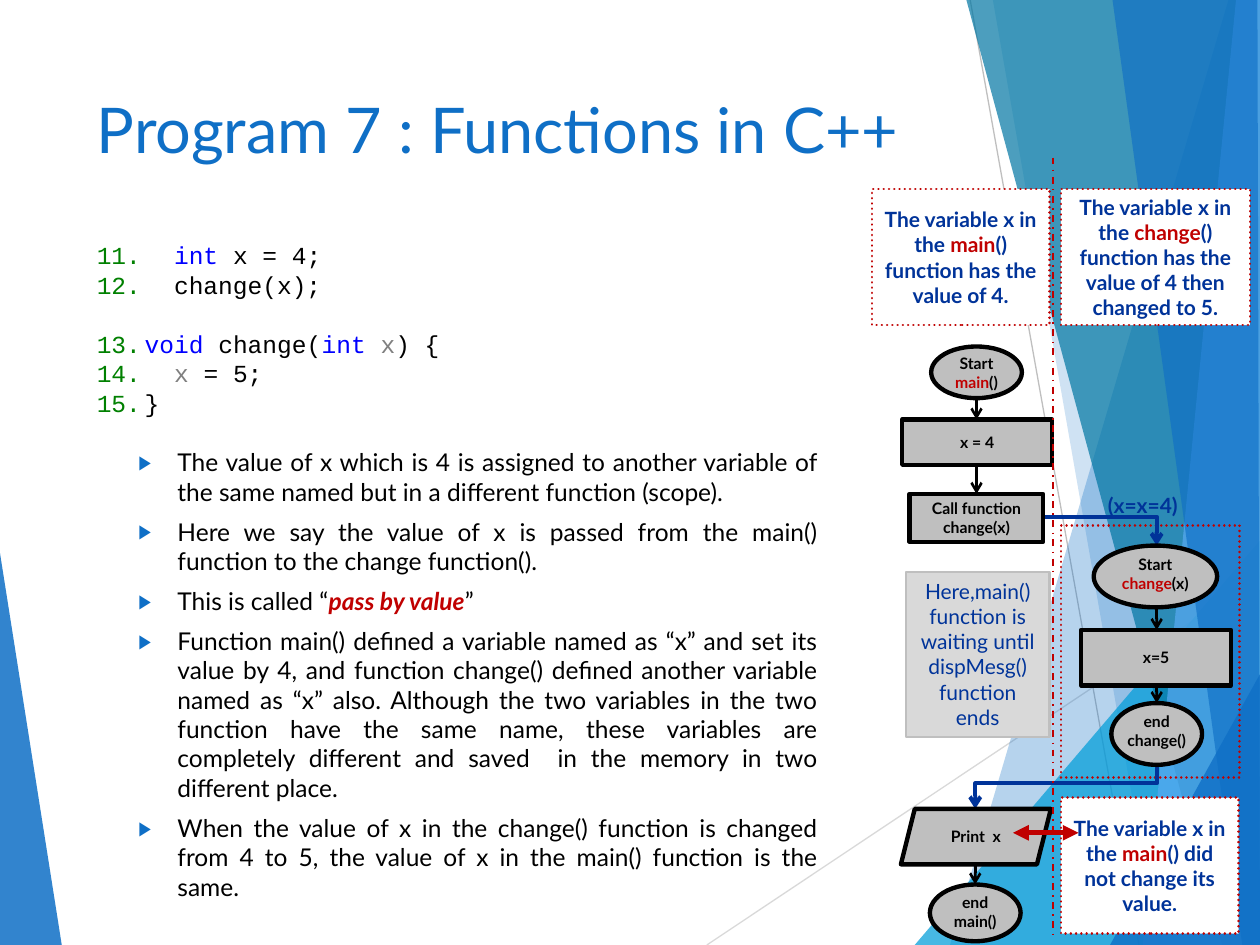
from typing import NamedTuple

from lxml.etree import SubElement
from pptx import Presentation
from pptx.dml.color import RGBColor
from pptx.enum.dml import MSO_LINE
from pptx.enum.shapes import MSO_CONNECTOR, MSO_SHAPE
from pptx.enum.text import MSO_ANCHOR, MSO_AUTO_SIZE, PP_ALIGN
from pptx.oxml.ns import qn
from pptx.util import Inches, Pt

BLACK, BLUE, NAVY, RED = "000000", "0F6FC6", "003399", "C00000"
KEYWORD, FADED, GREEN = "0000FF", "808080", "008000"
SILVER, PALE, WHITE = "BFBFBF", "D9D9D9", "FFFFFF"
MAIN_X, CHANGE_X = 7.75, 9.18


class Run(NamedTuple):
    text: str
    color: str = BLACK
    bold: bool = False
    italic: bool = False


class Facet(NamedTuple):
    points: list
    color: str
    alpha: int


class Node(NamedTuple):
    kind: MSO_SHAPE
    box: tuple
    lines: list


class Note(NamedTuple):
    box: tuple
    function: str
    ending: str


class Line(NamedTuple):
    start: tuple
    end: tuple
    color: str = BLACK
    width: float = 1.5
    head: str = ""
    tail: str = "arrow"
    dash: MSO_LINE | None = None
    preset: str = "line"
    turn: int = 0
    bend: int = 0


class Bullet(NamedTuple):
    indent: float
    hang: float
    color: str
    font: str
    size: int
    symbol: str = ""
    start: int = 0


FACETS = [
    Facet([(9.75, 0), (7.54, 7.5), (10, 7.5), (10, 0)], BLUE, 30),
    Facet([(7.88, 0), (9.19, 7.5), (10, 7.5), (10, 0)], BLUE, 20),
    Facet([(7.26, 7.5), (10, 4.29), (10, 7.5)], "009DD9", 72),
    Facet([(7.67, 0), (9.7, 7.5), (10, 7.5), (10, 0)], "0076A3", 70),
    Facet([(9.81, 0), (9.07, 7.5), (10, 7.5), (10, 0)], "59AAF2", 70),
    Facet([(8.83, 0), (9.86, 7.5), (10, 7.5), (9.98, 0)], BLUE, 65),
    Facet([(8.81, 7.5), (10, 5.35), (10, 7.5)], BLUE, 80),
]
LEFT_FACET = Facet([(0, 4.39), (0.49, 7.5), (0, 7.5)], BLUE, 85)
RAYS = [
    Line((5.61, 7.5), (10, 4.57), PALE, 0.75, tail=""),
    Line((7.7, 0), (9.04, 7.5), SILVER, 0.75, tail=""),
]
CODE = [
    (11, [Run("  int", KEYWORD), Run(" x = 4;")]),
    (11, [Run("  change(x);")]),
    (13, [Run("void", KEYWORD), Run(" change("), Run("int ", KEYWORD), Run("x", FADED), Run(") {")]),
    (13, [Run("  x", FADED), Run(" = 5;")]),
    (13, [Run("}")]),
]
EXPLANATION = [
    [Run("The value of x which is 4 is assigned to another variable of the same named "
         "but in a different function (scope).")],
    [Run("Here we say the value of x is passed from the main() function to the change function(). ")],
    [Run("This is called “"), Run("pass by value", RED, True, True), Run("”")],
    [Run("Function main() defined a variable named as “x” and set its value by 4, and function "
         "change() defined another variable named as “x” also. Although the two variables in the "
         "two function have the same name, these variables are completely different and saved  in "
         "the memory in two different place. ")],
    [Run("When the value of x in the change() function is changed from 4 to 5, the value of x in "
         "the main() function is the same.")],
]
OVAL, STEP, OUTPUT = MSO_SHAPE.OVAL, MSO_SHAPE.RECTANGLE, MSO_SHAPE.PARALLELOGRAM
NODES = [
    Node(OVAL, (7.39, 2.75, 0.72, 0.41), [[("Start",)], [("main", RED), ("()",)]]),
    Node(STEP, (7.16, 3.33, 1.19, 0.36), [[("x = 4",)]]),
    Node(STEP, (7.22, 3.92, 1.06, 0.38), [[("Call function",)], [("change(x)",)]]),
    Node(OVAL, (8.68, 4.33, 0.98, 0.49), [[("Start",)], [("change", RED), ("(x)",)]]),
    Node(STEP, (8.58, 5, 1.19, 0.44), [[("x=5",)]]),
    Node(OVAL, (8.82, 5.58, 0.72, 0.49), [[("end",)], [("change()",)]]),
    Node(OUTPUT, (7.15, 6.42, 1.19, 0.44), [[("Print  x",)]]),
    Node(OVAL, (7.38, 7.02, 0.72, 0.45), [[("end",)], [("main()",)]]),
]
STEPS = [(MAIN_X, 3.16, 3.33), (MAIN_X, 3.69, 3.92), (CHANGE_X, 4.83, 5),
         (CHANGE_X, 5.44, 5.58), (7.74, 6.85, 7.02)]
CALL = Line((8.28, 4.1), (CHANGE_X, 4.33), NAVY, 2.25, preset="bentConnector2")
RETURN = Line((8.29, 5.53), (8.63, 6.97), NAVY, 2.25, preset="bentConnector3", turn=90, bend=40400)
NOTES = [
    Note((6.92, 1.5, 1.41, 1.08), "main", "() function has the value of 4."),
    Note((8.42, 1.5, 1.5, 1.08), "change", "() function has the value of 4 then changed to 5."),
    Note((8.42, 6.33, 1.41, 1.08), "main", "() did not change its value."),
]
DIVIDER = Line((8.36, 1.25), (8.36, 7.46), RED, 1, tail="", dash=MSO_LINE.DASH_DOT)
COMPARISON = Line((8.04, 6.61), (8.56, 6.61), RED, 3, "triangle", "triangle")


def rgb(color: str) -> RGBColor:
    """Turn a hex string into a colour."""
    return RGBColor.from_string(color)


def write(frame, paragraphs, size, font="Lato", align=PP_ALIGN.LEFT) -> list:
    """Fill a text frame run by run and return its paragraphs."""
    written = []
    for index, runs in enumerate(paragraphs):
        paragraph = frame.add_paragraph() if index else frame.paragraphs[0]
        paragraph.alignment = align
        for part in runs:
            run = paragraph.add_run()
            run.text = part.text
            run.font.name, run.font.size = font, Pt(size)
            run.font.bold, run.font.italic = part.bold, part.italic
            run.font.color.rgb = rgb(part.color)
        written.append(paragraph)
    return written


def add_text(slide, box, wrap=True):
    """Add an empty text box and return its frame."""
    frame = slide.shapes.add_textbox(*map(Inches, box)).text_frame
    frame.word_wrap = wrap
    return frame


def set_bullet(paragraph, bullet: Bullet) -> None:
    """Give a paragraph a hanging number or symbol."""
    properties = paragraph._p.get_or_add_pPr()
    properties.set("marL", str(Inches(bullet.indent)))
    properties.set("indent", str(-Inches(bullet.hang)))
    SubElement(SubElement(properties, qn("a:buClr")), qn("a:srgbClr"), val=bullet.color)
    SubElement(properties, qn("a:buSzPct"), val=str(bullet.size * 1000))
    SubElement(properties, qn("a:buFont"), typeface=bullet.font)
    if bullet.symbol:
        SubElement(properties, qn("a:buChar"), char=bullet.symbol)
    else:
        SubElement(properties, qn("a:buAutoNum"), type="arabicPeriod", startAt=str(bullet.start))


def draw_facet(slide, facet: Facet) -> None:
    """Draw one translucent polygon of the backdrop."""
    corners = [(Inches(x), Inches(y)) for x, y in facet.points]
    builder = slide.shapes.build_freeform(*corners[0])
    builder.add_line_segments(corners[1:], close=True)
    shape = builder.convert_to_shape()
    shape.shadow.inherit = False
    shape.fill.solid()
    shape.fill.fore_color.rgb = rgb(facet.color)
    shape.line.fill.background()
    tint = shape._element.spPr.find(f".//{qn('a:srgbClr')}")
    SubElement(tint, qn("a:alpha"), val=str(facet.alpha * 1000))


def draw_line(slide, line: Line) -> None:
    """Draw a straight or bent line with its arrowheads."""
    kind = MSO_CONNECTOR.STRAIGHT if line.preset == "line" else MSO_CONNECTOR.ELBOW
    connector = slide.shapes.add_connector(kind, *map(Inches, line.start + line.end))
    connector.line.color.rgb = rgb(line.color)
    connector.line.width = Pt(line.width)
    if line.dash:
        connector.line.dash_style = line.dash
    properties = connector._element.spPr
    geometry = properties.find(qn("a:prstGeom"))
    geometry.set("prst", line.preset)
    if line.bend:
        SubElement(geometry.find(qn("a:avLst")), qn("a:gd"), name="adj1", fmla=f"val {line.bend}")
    if line.turn:
        properties.find(qn("a:xfrm")).set("rot", str(line.turn * 60000))
    for tag, head in (("a:headEnd", line.head), ("a:tailEnd", line.tail)):
        if head:
            SubElement(properties.find(qn("a:ln")), qn(tag), type=head)
    SubElement(properties, qn("a:effectLst"))


def add_block(slide, kind, box, fill, border, width, dotted=False):
    """Add a bordered shape, filled when a fill is given."""
    shape = slide.shapes.add_shape(kind, *map(Inches, box))
    shape.shadow.inherit = False
    if fill:
        shape.fill.solid()
        shape.fill.fore_color.rgb = rgb(fill)
    else:
        shape.fill.background()
    shape.line.color.rgb, shape.line.width = rgb(border), Pt(width)
    if dotted:
        shape.line.dash_style = MSO_LINE.ROUND_DOT
        shape._element.spPr.find(qn("a:ln")).set("cap", "rnd")
    shape.text_frame.word_wrap = True
    return shape


def draw_node(slide, node: Node) -> None:
    """Draw one flowchart node with its label."""
    frame = add_block(slide, node.kind, node.box, SILVER, BLACK, 2.5).text_frame
    frame.word_wrap = False
    if node.kind == OVAL:
        frame.vertical_anchor, frame.margin_top = MSO_ANCHOR.TOP, 0
    label = [[Run(*part)._replace(bold=True) for part in line] for line in node.lines]
    write(frame, label, 9, align=PP_ALIGN.CENTER)


def draw_note(slide, note: Note) -> None:
    """Draw a dotted note about the value of x."""
    frame = add_block(slide, STEP, note.box, WHITE, RED, 1.5, dotted=True).text_frame
    runs = [Run("The variable x in the ", NAVY, True), Run(note.function, RED, True),
            Run(note.ending, NAVY, True)]
    write(frame, [runs], 12, align=PP_ALIGN.CENTER)


def draw_code(slide) -> None:
    """Write the numbered program lines, with a gap before the function."""
    frame = add_text(slide, (0.67, 1.86, 6, 1.6))
    paragraphs = write(frame, [runs for _, runs in CODE], 14, "Courier New")
    for paragraph, (start, _) in zip(paragraphs, CODE):
        paragraph.line_spacing = Pt(16.8)
        set_bullet(paragraph, Bullet(0.38, 0.38, GREEN, "Courier New", 100, start=start))
    paragraphs[2].space_before = Pt(16.8)


def draw_explanation(slide) -> None:
    """Write the justified bullet list."""
    frame = add_text(slide, (0.5, 3.5, 6.09, 3.67))
    for paragraph in write(frame, EXPLANATION, 14, align=PP_ALIGN.JUSTIFY):
        paragraph.space_before = Pt(6)
        set_bullet(paragraph, Bullet(0.81, 0.31, BLUE, "Lato", 80, "▶"))


def draw_flowchart(slide) -> None:
    """Draw the two flows, their links and the waiting remark."""
    add_block(slide, STEP, (8.42, 4.17, 1.42, 2), None, RED, 1.5, dotted=True)
    for x, top, bottom in STEPS:
        draw_line(slide, Line((x, top), (x, bottom)))
    draw_line(slide, CALL)
    draw_line(slide, RETURN)
    for node in NODES:
        draw_node(slide, node)
    waiting = add_block(slide, STEP, (7.19, 4.54, 1.14, 1.31), PALE, SILVER, 1.5).text_frame
    waiting.vertical_anchor, waiting.auto_size = MSO_ANCHOR.TOP, MSO_AUTO_SIZE.SHAPE_TO_FIT_TEXT
    remark = "Here,main() function is waiting until dispMesg() function ends"
    write(waiting, [[Run(remark, NAVY)]], 12, align=PP_ALIGN.CENTER)
    passing = add_text(slide, (8.6, 3.86, 0.94, 0.3), wrap=False)
    write(passing, [[Run("(x=x=4)", NAVY, True)]], 12, align=PP_ALIGN.CENTER)


def main() -> None:
    """Build the slide and save it."""
    deck = Presentation()
    deck.slide_width, deck.slide_height = Inches(10), Inches(7.5)
    slide = deck.slides.add_slide(deck.slide_layouts[6])
    draw_facet(slide, LEFT_FACET)
    for ray in RAYS:
        draw_line(slide, ray)
    for facet in FACETS:
        draw_facet(slide, facet)
    title = add_text(slide, (0.67, 0.67, 7.33, 1.44))
    write(title, [[Run("Program 7 : Functions in C++", BLUE)]], 36)
    draw_code(slide)
    draw_explanation(slide)
    draw_flowchart(slide)
    for note in NOTES:
        draw_note(slide, note)
    draw_line(slide, DIVIDER)
    draw_line(slide, COMPARISON)
    deck.save("out.pptx")


if __name__ == "__main__":
    main()
